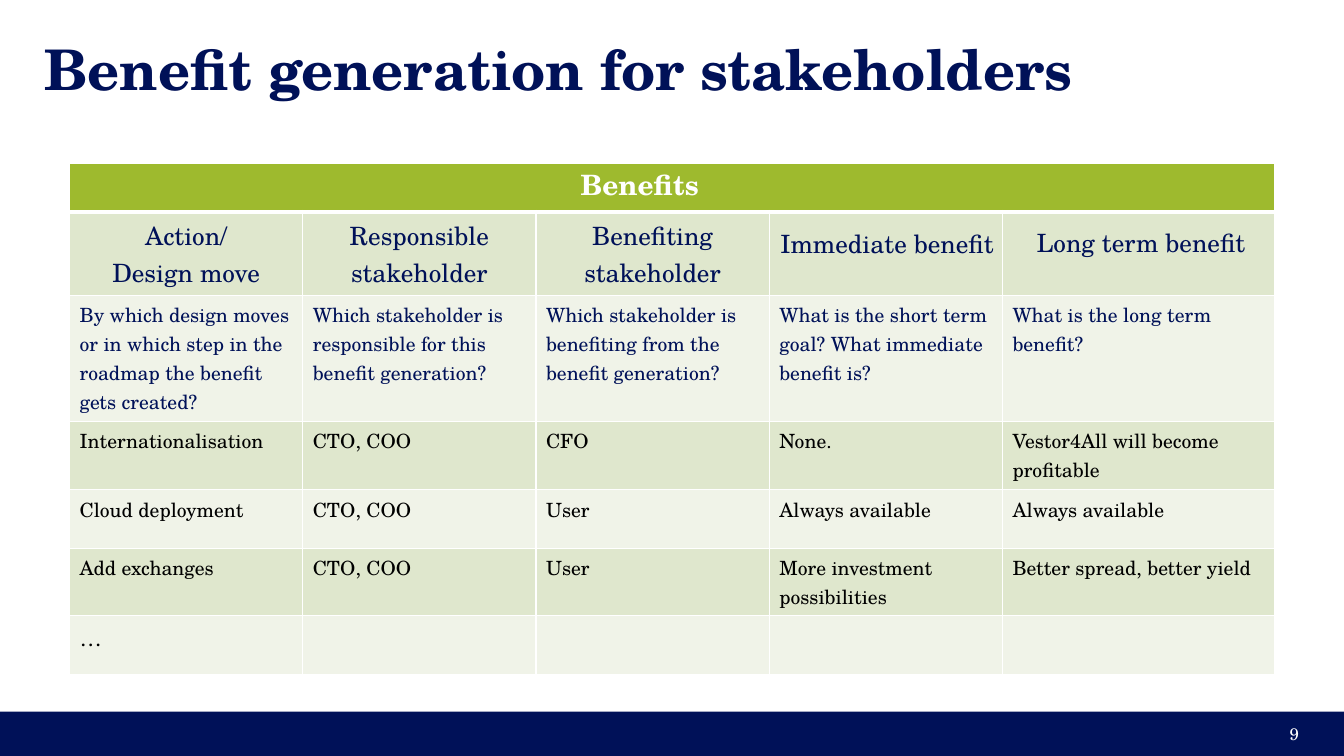
from lxml import etree
from pptx import Presentation
from pptx.dml.color import RGBColor
from pptx.enum import shapes, text
from pptx.oxml import ns
from pptx.util import Inches, Pt

# Content
TITLE = "Benefit generation for stakeholders"
PAGE_NUMBER = "9"
HEADINGS = ["Action/\nDesign move", "Responsible stakeholder", "Benefiting stakeholder", "", ""]
QUESTIONS = [
    "By which design moves or in which step in the roadmap the benefit gets created?",
    "Which stakeholder is responsible for this benefit generation?",
    "Which stakeholder is benefiting from the benefit generation?",
    "What is the short term goal? What immediate benefit is?",
    "What is the long term benefit?",
]
MOVES = [
    (["Internationalisation", "CTO, COO", "CFO", "None.",
      "Vestor4All will become profitable"], 0.68),
    (["Cloud deployment", "CTO, COO", "User", "Always available", "Always available"], 0.58),
    (["Add exchanges", "CTO, COO", "User", "More investment possibilities",
      "Better spread, better yield"], 0.67),
]
MORE = ["…", "", "", "", ""]

# Style
FONT = "TeX Gyre Schola"
COLORS = {"navy": "001158", "green": "9EBA2E", "band": "DFE7CD", "pale": "F0F3E8",
          "white": "FFFFFF", "black": "000000"}
LEFT, CENTER, RIGHT = text.PP_ALIGN.LEFT, text.PP_ALIGN.CENTER, text.PP_ALIGN.RIGHT

# Table rows: texts, height, size, colour, alignment
ROWS = [
    ([""] * 5, 0.48, 18, "white", CENTER),
    (HEADINGS, 0.83, 18, "navy", CENTER),
    (QUESTIONS, 1.25, 14, "navy", LEFT),
    *[(move, height, 14, "black", LEFT) for move, height in MOVES],
    (MORE, 0.58, 16, "black", LEFT),
]
TABLE_WIDTH, LAST_WIDTH = 11.96, 2.7
COLUMN_WIDTHS = [(TABLE_WIDTH - LAST_WIDTH) / 4] * 4 + [LAST_WIDTH]

# Labels over the table: text, left, top, width, height, size, colour, bold, alignment
LABELS = [
    ("Benefits", 2.02, 1.54, 8.66, 0.66, 20, "white", True, CENTER),
    ("Immediate benefit", 7.62, 2.14, 2.37, 0.65, 18, "navy", False, CENTER),
    ("Long term benefit", 10.17, 2.14, 2.48, 0.6, 18, "navy", False, LEFT),
]


def color(name):
    return RGBColor.from_string(COLORS[name])


def write(frame, words, size, tint, align=LEFT, bold=False):
    frame.word_wrap = True
    for index, line in enumerate(words.split("\n")):
        para = frame.paragraphs[0] if index == 0 else frame.add_paragraph()
        para.alignment = align
        para.font.size = Pt(size)
        if line:
            span = para.add_run()
            span.text = line
            span.font.name, span.font.size, span.font.bold = FONT, Pt(size), bold
            span.font.color.rgb = color(tint)


def set_margins(frame, inches):
    frame.margin_left = frame.margin_right = Inches(inches)
    frame.margin_top = frame.margin_bottom = Inches(inches)


def add_borders(cell, bottom):
    properties = cell._tc.get_or_add_tcPr()
    for index, (side, points) in enumerate([("L", 1), ("R", 1), ("T", 1), ("B", bottom)]):
        line = etree.Element(ns.qn(f"a:ln{side}"), w=str(Pt(points)))
        fill = etree.SubElement(line, ns.qn("a:solidFill"))
        etree.SubElement(fill, ns.qn("a:srgbClr"), val=COLORS["white"])
        properties.insert(index, line)


deck = Presentation()
deck.slide_width, deck.slide_height = Inches(13.34), Inches(7.5)
page = deck.slides.add_slide(deck.slide_layouts[5])

# Footer bar
footer = page.shapes.add_shape(shapes.MSO_SHAPE.RECTANGLE, 0, Inches(7.06),
                               deck.slide_width, Inches(0.44))
footer.shadow.inherit = False
footer.fill.solid()
footer.fill.fore_color.rgb = color("navy")
footer.line.fill.background()

# Title
title = page.shapes.title
title.left, title.top, title.width, title.height = map(Inches, (0.44, 0.44, 12.46, 0.47))
set_margins(title.text_frame, 0)
title.text_frame.vertical_anchor = text.MSO_ANCHOR.MIDDLE
title.text_frame.auto_size = text.MSO_AUTO_SIZE.NONE
write(title.text_frame, TITLE, 40, "navy", bold=True)

# Page number
number = page.shapes.add_textbox(*map(Inches, (9.99, 7.08, 3, 0.4)))
number.text_frame.vertical_anchor = text.MSO_ANCHOR.MIDDLE
write(number.text_frame, PAGE_NUMBER, 12, "white", RIGHT)

# Benefits table
table = page.shapes.add_table(len(ROWS), len(COLUMN_WIDTHS), Inches(0.69), Inches(1.62),
                              Inches(TABLE_WIDTH),
                              Inches(sum(row[1] for row in ROWS))).table
for column, width in zip(table.columns, COLUMN_WIDTHS):
    column.width = Inches(width)
for row_index, (words, height, size, tint, align) in enumerate(ROWS):
    table.rows[row_index].height = Inches(height)
    fill_name = "green" if row_index == 0 else ("pale", "band")[row_index % 2]
    for column_index, word in enumerate(words):
        cell = table.cell(row_index, column_index)
        cell.fill.solid()
        cell.fill.fore_color.rgb = color(fill_name)
        add_borders(cell, 3 if row_index == 0 else 1)
        write(cell.text_frame, word, size, tint, align)
table.cell(0, 0).merge(table.cell(0, len(COLUMN_WIDTHS) - 1))

# Labels over the table
for words, left, top, width, height, size, tint, bold, align in LABELS:
    box = page.shapes.add_textbox(*map(Inches, (left, top, width, height)))
    set_margins(box.text_frame, 0.12)
    write(box.text_frame, words, size, tint, align, bold)

deck.save("out.pptx")
